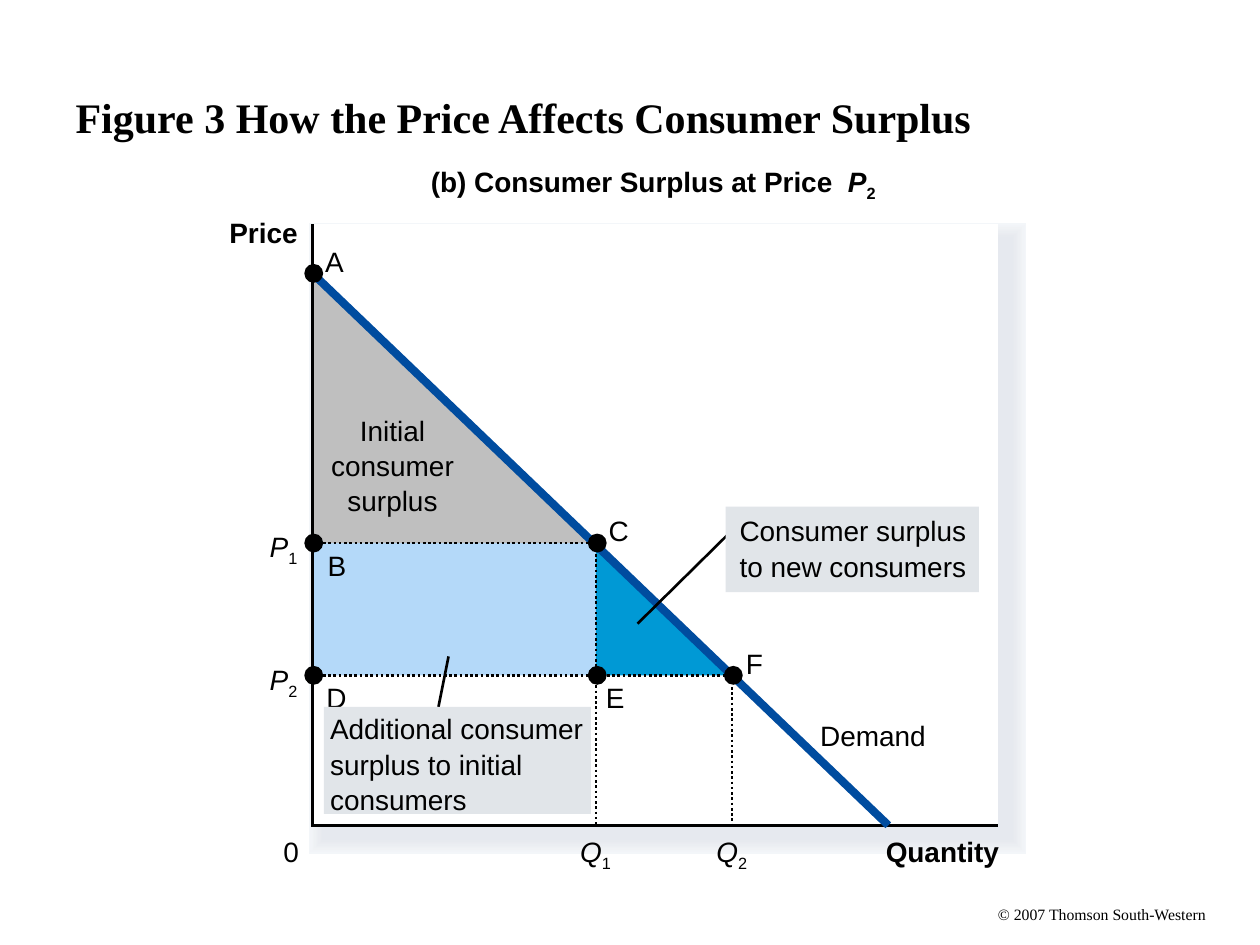
from dataclasses import dataclass

from lxml import etree
from pptx import Presentation, util as u
from pptx.dml.color import RGBColor
from pptx.enum import dml, shapes, text
from pptx.oxml.ns import qn


@dataclass(frozen=True)
class Theme:
    """Colours, fonts and type sizes of the slide."""
    ink: str = "000000"
    paper: str = "FFFFFF"
    curve: str = "004C9F"
    first: str = "BFBFBF"
    extra: str = "B4D9F9"
    fresh: str = "0099D5"
    note: str = "E1E5E9"
    glow: tuple = ("F3F6F9", "F2F4F8", "F1F4F7", "F0F2F5", "EEF1F4", "EDEFF3",
                   "EBEEF2", "EAECF1", "E9EBF0", "E7EAEF", "E6E9EF")
    sans: str = "Arial"
    serif: str = "Times New Roman"
    head: int = 24
    body: int = 16
    foot: int = 9
    thin: float = 1.5
    thick: float = 4.62


T = Theme()
CELL = u.Inches(0.1)
LEFT, Q1, Q2, END, RIGHT = 24.8, 47.3, 58.1, 70.5, 79.2
TOP, PEAK, P1, P2, BASE = 17.8, 21.7, 43.1, 53.6, 65.5
LINE = 2.7
DOT = 1.5
SLACK = 0.5


def grid(*cells):
    """Turn grid cells into slide lengths."""
    return [round(c * CELL) for c in cells]


def rgb(code):
    """Turn a hex code into a colour."""
    return RGBColor.from_string(code)


def paint(shape, fill=None, line=None, width=T.thin, dash=None):
    """Set fill and sharp-cornered outline and drop the shadow."""
    shape.shadow.inherit = False
    for part, code in ((shape.fill, fill), (shape.line.fill, line)):
        if code:
            part.solid()
            part.fore_color.rgb = rgb(code)
        else:
            part.background()
    if line:
        shape.line.width = u.Pt(width)
        shape.line.dash_style = dash
        edge = shape._element.spPr.find(qn("a:ln"))
        etree.SubElement(edge, qn("a:miter")).set("lim", "800000")


def block(slide, box, fill, kind=shapes.MSO_SHAPE.RECTANGLE, **look):
    """Add a filled preset shape."""
    paint(slide.shapes.add_shape(kind, *grid(*box)), fill, **look)


def trace(slide, spots, close=False, **look):
    """Add an outline through grid points."""
    first, *rest = [tuple(grid(*s)) for s in spots]
    pen = slide.shapes.build_freeform(*first)
    pen.add_line_segments(rest, close=close)
    paint(pen.convert_to_shape(), **look)


def link(slide, start, end, color=T.ink, width=T.thin):
    """Add a straight line."""
    line = slide.shapes.add_connector(
        shapes.MSO_CONNECTOR.STRAIGHT, *grid(*start, *end))
    line.line.color.rgb = rgb(color)
    line.line.width = u.Pt(width)
    etree.SubElement(line._element.spPr, qn("a:effectLst"))


def style(para, size=T.body, name=T.sans, bold=False):
    """Set the font of a paragraph."""
    font = para.font
    font.size, font.name, font.bold = u.Pt(size), name, bold
    font.color.rgb = rgb(T.ink)


def label(slide, box, lines, align=text.PP_ALIGN.LEFT, **look):
    """Add text, one paragraph a line, with a little room to spare."""
    left, top, wide, high = box
    if align == text.PP_ALIGN.CENTER:
        left -= SLACK / 2
    frame = slide.shapes.add_textbox(
        *grid(left, top, wide + SLACK, high)).text_frame
    frame.margin_left = frame.margin_right = 0
    frame.margin_top = frame.margin_bottom = 0
    frame.word_wrap = True
    frame.auto_size = text.MSO_AUTO_SIZE.NONE
    for i, line in enumerate(lines):
        para = frame.add_paragraph() if i else frame.paragraphs[0]
        if i:
            para.space_before = u.Pt(0.9)
        para.alignment = align
        para.add_run().text = line
        style(para, **look)
    return frame.paragraphs[0]


def index(slide, box, name, sub, **look):
    """Add an italic symbol with a subscript."""
    para = label(slide, box, [name], **look)
    para.runs[0].font.italic = True
    low = para.add_run()
    low.text = sub
    low.font.italic = False
    low.font._element.set("baseline", "-25000")


def title(slide):
    """Fill and place the title."""
    head = slide.shapes.title
    head.left, head.top, head.width, head.height = grid(5, 3, 90, 12.5)
    head.text_frame.text = "Figure 3 How the Price Affects Consumer Surplus"
    head.text_frame.vertical_anchor = text.MSO_ANCHOR.MIDDLE
    para = head.text_frame.paragraphs[0]
    para.alignment = text.PP_ALIGN.LEFT
    style(para, T.head, T.serif, True)


def panel(slide):
    """Draw the soft shade and the white plot."""
    wide, high = RIGHT - LEFT, BASE - TOP
    for i, code in enumerate(T.glow):
        block(slide, (25.7, 18.9, wide + 0.2, high), code,
              line=code, width=16.75 - 1.525 * i)
    block(slide, (LEFT, TOP, wide, high), T.paper)


def areas(slide):
    """Draw the three surplus areas."""
    block(slide, (LEFT, P1, Q1 - LEFT, P2 - P1), T.extra)
    trace(slide, [(Q1, P1), (Q1, P2), (Q2, P2)], True, fill=T.fresh)
    trace(slide, [(LEFT, PEAK), (LEFT, P1), (Q1, P1)], True, fill=T.first)
    label(slide, (26.3, 32.8, 9.7, 8.3), ["Initial", "consumer", "surplus"],
          text.PP_ALIGN.CENTER)


def axes(slide):
    """Draw the axes, their names and the demand line."""
    trace(slide, [(LEFT, TOP), (LEFT, BASE), (RIGHT, BASE)], line=T.ink)
    for left, top, wide, word, bold in (
            (70.3, 66.2, 9, "Quantity", True),
            (34.2, 13.1, 32.5, "(b) Consumer Surplus at Price", True),
            (18.2, 17.1, 5.4, "Price", True),
            (22.5, 66.2, 1.2, "0", False),
            (65.1, 57, 8.4, "Demand", False)):
        label(slide, (left, top, wide, LINE), [word], bold=bold)
    index(slide, (67.3, 13.1, 2.4, 3), "P", "2", bold=True)
    link(slide, (LEFT, PEAK), (END, BASE), T.curve, T.thick)


def marks(slide):
    """Draw the lettered points."""
    for name, x, y, dx, dy in (
            ("A", LEFT, PEAK, 1, -2.3), ("B", LEFT, P1, 1.2, 0.4),
            ("C", Q1, P1, 1, -2.3), ("D", LEFT, P2, 1.1, 0.4),
            ("E", Q1, P2, 0.8, 0.4), ("F", Q2, P2, 1.1, -2.3)):
        block(slide, (x - 0.65, y - 0.75, DOT, DOT), T.ink,
              shapes.MSO_SHAPE.OVAL)
        label(slide, (x + dx, y + dy, 1.5, LINE), [name])


def guides(slide):
    """Draw the dotted price and quantity lines."""
    for sub, x, y in (("1", Q1, P1), ("2", Q2, P2)):
        trace(slide, [(LEFT, y), (x, y), (x, BASE)], line=T.ink,
              dash=dml.MSO_LINE.ROUND_DOT)
        index(slide, (21.4, y - 1.05, 2.2, 3), "P", sub)
        index(slide, (x - 1.25, 66.2, 2.4, 3), "Q", sub)


def note(slide, start, end, box, inset, lines):
    """Add a shaded note with its pointer."""
    link(slide, start, end)
    block(slide, box, T.note)
    dx, dy = inset
    label(slide, (box[0] + dx, box[1] + dy, box[2] - dx - SLACK,
                  LINE * len(lines)), lines)


def main():
    """Build and save the slide."""
    deck = Presentation()
    deck.slide_width, deck.slide_height = grid(100, 75)
    slide = deck.slides.add_slide(deck.slide_layouts[5])
    title(slide)
    label(slide, (79.2, 71.8, 16.6, 1.5), ["© 2007 Thomson South-Western"],
          size=T.foot, name=T.serif)
    for draw in (panel, areas, axes, marks, guides):
        draw(slide)
    note(slide, (50.6, 49.5), (58.1, 42.1), (57.6, 40.2, 20.1, 6.8),
         (1.1, 0.6), ["Consumer surplus", "to new consumers"])
    note(slide, (35.6, 52.1), (34.8, 56.1), (25.7, 56.1, 21.2, 8.5),
         (0.5, 0.4),
         ["Additional consumer", "surplus to initial", "consumers"])
    deck.save("out.pptx")


if __name__ == "__main__":
    main()
